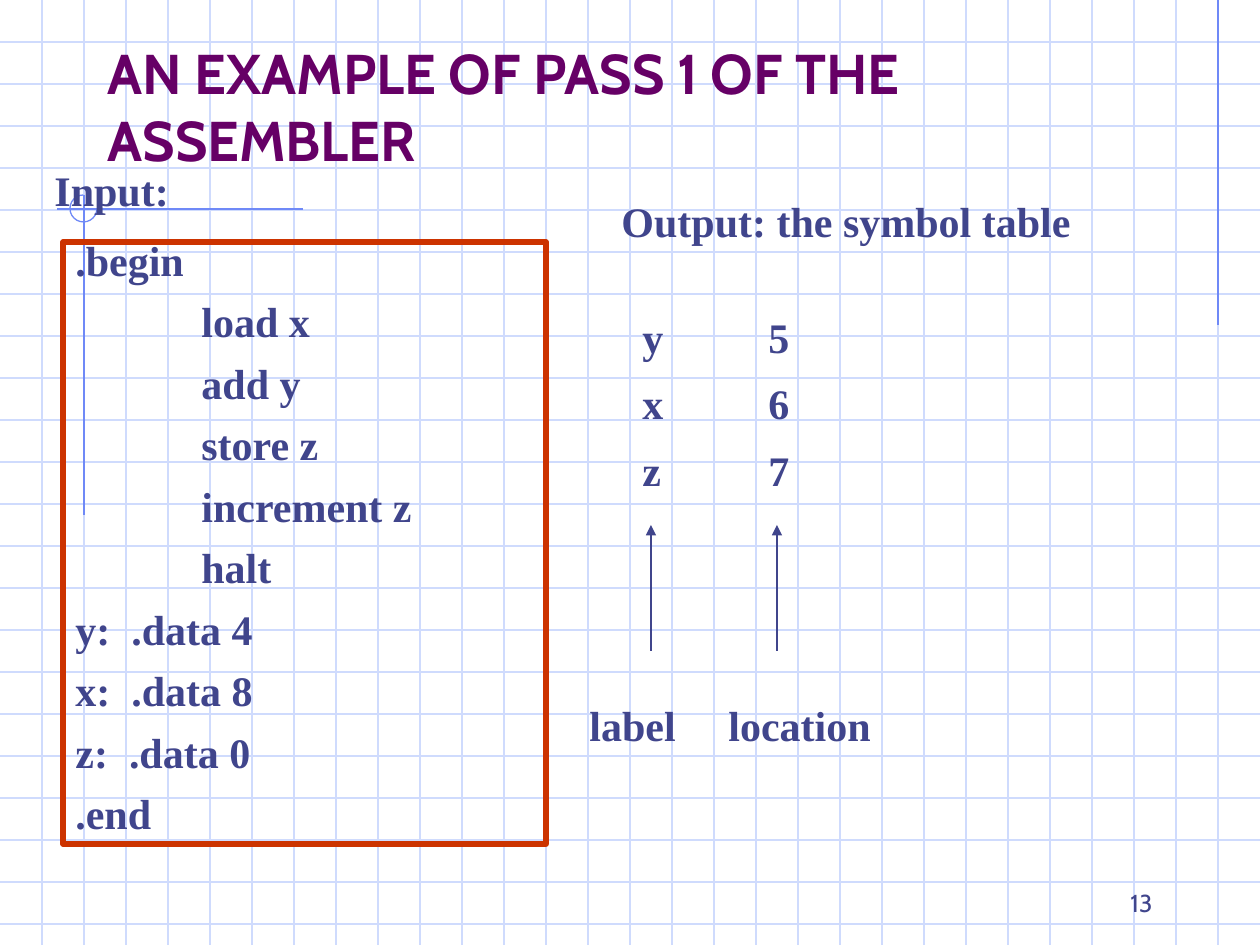
"""Build the slide on pass 1 of the assembler."""
from pptx import Presentation
from pptx.dml.color import RGBColor
from pptx.enum.shapes import MSO_CONNECTOR, MSO_SHAPE
from pptx.enum.text import MSO_ANCHOR, MSO_AUTO_SIZE, PP_ALIGN
from pptx.oxml.ns import qn
from pptx.util import Pt
from lxml import etree

SCALE = 914400 / 126
WIDE, HIGH, STEP = 1260, 945, 42
GRID = RGBColor(0xCF, 0xDB, 0xFD)
BLUE = RGBColor(0x6F, 0x89, 0xF7)
PLUM = RGBColor(0x66, 0x00, 0x66)
INK = RGBColor(0x40, 0x45, 0x8C)
RUST = RGBColor(0xCC, 0x33, 0x00)
STRAIGHT = MSO_CONNECTOR.STRAIGHT
RECT, ARC = MSO_SHAPE.RECTANGLE, MSO_SHAPE.ARC
TOP, BOTTOM = MSO_ANCHOR.TOP, MSO_ANCHOR.BOTTOM
LEFT, RIGHT = PP_ALIGN.LEFT, PP_ALIGN.RIGHT
FIXED = MSO_AUTO_SIZE.NONE

BODY = {"name": "Times New Roman", "size": Pt(24), "bold": True}
HEAD = {"name": "Cabin", "size": Pt(32), "bold": True}
PAGE = {"name": "Cabin", "size": Pt(14), "bold": False}
CODE = [".begin", "\tload x", "\tadd y", "\tstore z", "\tincrement z",
        "\thalt", "y:  .data 4", "x:  .data 8", "z:  .data 0", ".end"]


def px(*sizes):
    """Turn pixels into EMU."""
    return [round(size * SCALE) for size in sizes]


def assign(item, values):
    """Set attributes from a dict."""
    for key, value in values.items():
        setattr(item, key, value)


class Deck:
    """Hold the style and the current slide."""

    def __init__(self):
        """Start a deck with one title-only slide."""
        self.deck = Presentation()
        self.deck.slide_width, self.deck.slide_height = px(WIDE, HIGH)
        self.slide = self.deck.slides.add_slide(self.deck.slide_layouts[5])
        self.shapes = self.slide.shapes

    def line(self, x1, y1, x2, y2, color, arrow=False):
        """Draw a straight line, with an arrowhead at its end if asked."""
        line = self.shapes.add_connector(STRAIGHT, *px(x1, y1, x2, y2))
        line.line.color.rgb = color
        line.line.width = Pt(0.75)
        props = line.element.spPr
        etree.SubElement(props, qn("a:effectLst"))
        if arrow:
            stroke = props.find(qn("a:ln"))
            etree.SubElement(stroke, qn("a:tailEnd"), type="triangle")

    def shape(self, kind, box, color, width):
        """Draw an unfilled outline."""
        shape = self.shapes.add_shape(kind, *px(*box))
        shape.shadow.inherit = False
        shape.fill.background()
        shape.line.color.rgb = color
        shape.line.width = Pt(width)
        return shape

    def label(self, shape, lines, font=BODY, color=INK, anchor=TOP,
              align=LEFT, space=1.0, tab=None):
        """Fill a shape with styled paragraphs."""
        frame = shape.text_frame
        assign(frame, {"word_wrap": True, "auto_size": FIXED,
                       "vertical_anchor": anchor})
        for i, text in enumerate(lines):
            para = frame.add_paragraph() if i else frame.paragraphs[0]
            assign(para, {"alignment": align, "line_spacing": space,
                          "space_before": Pt(15 if i else 0)})
            if tab:
                tabs = etree.SubElement(para._p.get_or_add_pPr(), qn("a:tabLst"))
                etree.SubElement(tabs, qn("a:tab"), pos=str(px(tab)[0]), algn="l")
            run = para.add_run()
            run.text = text
            assign(run.font, font)
            run.font.color.rgb = color

    def text(self, box, lines, **style):
        """Add a text box."""
        self.label(self.shapes.add_textbox(*px(*box)), lines, **style)

    def title(self, box, text):
        """Place the title in front of the grid."""
        title = self.shapes.title
        assign(title, dict(zip(("left", "top", "width", "height"), px(*box))))
        self.label(title, [text], HEAD, PLUM, BOTTOM)
        title.element.getparent().append(title.element)

    def grid(self):
        """Draw the squared paper and its corner marks."""
        for y in range(STEP, HIGH, STEP):
            self.line(0, y, WIDE, y, GRID)
        for x in range(STEP, WIDE, STEP):
            self.line(x, 0, x, HIGH, GRID)
        self.line(1218, 0, 1218, 325, BLUE)
        self.line(303, 209, 57, 209, BLUE)
        self.line(84, 195, 84, 515, BLUE)
        ring = self.shape(ARC, (70, 195, 27, 27), BLUE, 0.75)
        ring.adjustments[0] = 0
        ring.adjustments[1] = 162


def main():
    """Build and save the slide."""
    deck = Deck()
    deck.grid()
    deck.title((95, 32, 1071, 147), "AN EXAMPLE OF PASS 1 OF THE ASSEMBLER")
    code = deck.shape(RECT, (63, 242, 483, 602), RUST, 3)
    deck.label(code, CODE, space=0.7, tab=126)
    deck.text((42, 158, 231, 63), ["Input:"])
    deck.text((609, 189, 588, 63), ["Output: the symbol table"])
    deck.text((630, 315, 252, 186), ["y\t5", "x\t6", "z\t7"], space=0.8, tab=126)
    for x in (651, 777):
        deck.line(x, 651, x, 525, INK, arrow=True)
    deck.text((577, 693, 399, 63), ["label\tlocation"], tab=139)
    deck.text((903, 861, 262, 63), ["13"], font=PAGE, anchor=BOTTOM, align=RIGHT)
    deck.deck.save("out.pptx")


if __name__ == "__main__":
    main()
